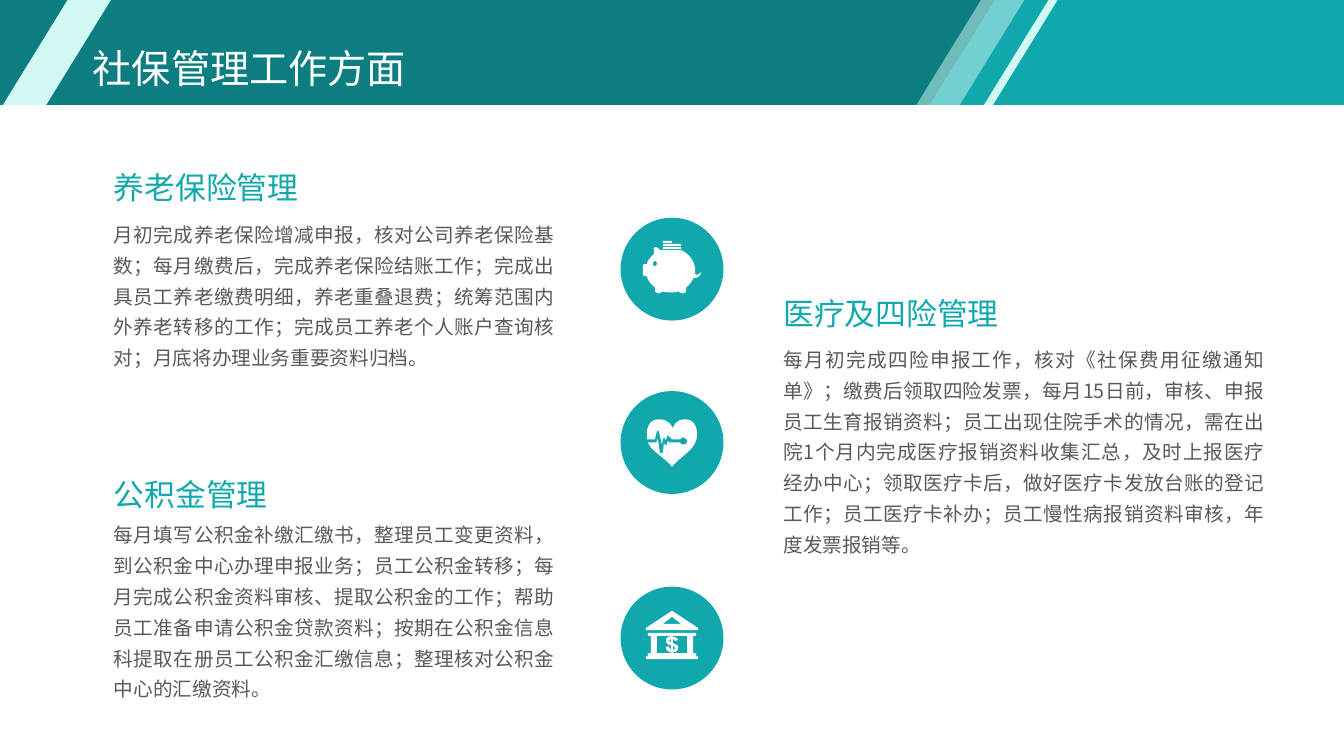
"""Build the social-insurance management slide with python-pptx."""
from lxml import etree
from pptx import Presentation, util as u
from pptx.dml.color import RGBColor
from pptx.enum import shapes, text
from pptx.oxml.ns import qn

FONT = "Noto Sans CJK SC"
COLORS = {"dark": "0C7E81", "teal": "10A8AC", "mint": "D2F8F4", "body": "595959", "white": "FFFFFF"}
WIDTH, HEIGHT, BAND, CIRCLE = 13.33, 7.5, 1.04, 1.02
ICON_LEFT = (WIDTH - CIRCLE) / 2

TITLE = "社保管理工作方面"
SECTIONS = [
    ("养老保险管理", (1.13, 1.67, 2.06), (2.14, 4.37, 1.54),
     "月初完成养老保险增减申报，核对公司养老保险基数；每月缴费后，完成养老保险结账工作；完成出具员工养老缴费明细，"
     "养老重叠退费；统筹范围内外养老转移的工作；完成员工养老个人账户查询核对；月底将办理业务重要资料归档。"),
    ("医疗及四险管理", (7.77, 2.92, 2.47), (3.38, 4.77, 2.16),
     "每月初完成四险申报工作，核对《社保费用征缴通知单》；缴费后领取四险发票，每月15日前，审核、申报员工生育报销资料；"
     "员工出现住院手术的情况，需在出院1个月内完成医疗报销资料收集汇总，及时上报医疗经办中心；领取医疗卡后，"
     "做好医疗卡发放台账的登记工作；员工医疗卡补办；员工慢性病报销资料审核，年度发票报销等。"),
    ("公积金管理", (1.13, 4.72, 2.06), (5.12, 4.37, 1.85),
     "每月填写公积金补缴汇缴书，整理员工变更资料，到公积金中心办理申报业务；员工公积金转移；每月完成公积金资料审核、"
     "提取公积金的工作；帮助员工准备申请公积金贷款资料；按期在公积金信息科提取在册员工公积金汇缴信息；"
     "整理核对公积金中心的汇缴资料。"),
]

PIG = [(74, 56), (74, 55, 74, 53, 74, 52), (74, 43, 68, 36, 60, 32), (39, 32),
       (36, 28, 32, 29, 33, 31), (33, 33, 33, 35, 33, 36), (30, 39, 27, 42, 26, 46), (25, 46),
       (24, 46, 22, 46, 22, 48), (22, 56), (22, 57, 24, 58, 25, 58), (26, 58),
       (27, 62, 30, 66, 34, 69), (34, 72), (34, 74, 36, 75, 38, 75), (39, 75, 41, 74, 41, 73),
       (44, 74, 47, 74, 49, 74), (53, 74, 56, 74, 58, 73), (58, 74, 60, 75, 62, 75),
       (63, 75, 65, 74, 65, 72), (65, 69), (68, 67, 71, 63, 72, 60), (75, 60, 79, 59, 80, 54),
       (80, 54, 76, 58, 74, 56)]
EYE = [(34, 48), (33, 48, 32, 47, 32, 46), (32, 44, 33, 43, 34, 43),
       (35, 43, 36, 44, 36, 46), (36, 47, 35, 48, 34, 48)]
COINS = [[(x, y), (x + 9, y), (x + 9, y + 2), (x, y + 2)]
         for x, y in [(42, 23), (42, 26), (42, 29), (51, 26), (51, 29)]]
HEART = [(38, 28), (29, 28, 26, 36, 26, 43), (26, 45, 26, 47, 26, 48), (34, 48), (36, 40), (37, 39),
         (38, 40), (41, 53), (42, 48), (43, 46), (44, 47), (45, 49), (46, 45), (47, 44), (48, 45),
         (51, 48), (59, 48), (60, 47, 61, 46, 62, 46), (64, 46, 66, 48, 66, 50),
         (66, 52, 64, 53, 62, 53), (61, 53, 60, 53, 59, 51), (48, 51), (47, 49), (46, 53), (45, 54),
         (44, 53), (43, 52), (42, 61), (41, 62), (39, 61), (37, 47), (36, 50), (35, 51), (27, 51),
         (32, 61, 44, 66, 51, 75), (60, 64, 76, 58, 76, 43), (76, 36, 73, 28, 64, 28),
         (54, 28, 52, 37, 52, 37), (52, 37, 49, 28, 38, 28)]
ROOF = [[(51, 24), (25, 41), (25, 43), (77, 43), (77, 41)], [(60, 37), (42, 37), (51, 30)]]
HALL = [
    [(75, 66), (72, 66), (72, 49), (75, 49), (75, 46), (27, 46), (27, 49), (30, 49), (30, 66),
     (27, 66), (27, 69), (25, 69), (25, 72), (77, 72), (77, 69), (75, 69)],
    [(50, 55), (49, 55, 48, 54, 48, 54), (49, 53, 49, 52, 50, 52)],
    [(52, 59), (53, 59, 54, 60, 54, 61), (54, 62, 53, 62, 52, 63)],
    [(36, 49), (50, 49), (47, 50, 45, 51, 45, 53), (45, 56, 46, 57, 49, 58), (50, 58), (50, 62),
     (49, 62, 48, 61, 48, 59), (45, 60), (45, 63, 47, 65, 50, 65), (50, 66), (36, 66)],
    [(66, 66), (52, 66), (52, 65), (56, 65, 57, 63, 57, 60), (58, 59, 56, 58, 54, 57), (52, 56),
     (52, 52), (53, 53, 54, 53, 54, 54), (57, 53), (56, 51, 55, 50, 52, 50), (52, 49), (66, 49)],
]
ICONS = [(2.16, [[PIG, EYE, *COINS]]), (3.88, [[HEART]]), (5.82, [ROOF, HALL])]


def paint(sp, color):
    sp.shadow.inherit = False
    sp.fill.solid()
    sp.fill.fore_color.rgb = RGBColor.from_string(COLORS[color])
    sp.line.fill.background()
    return sp


def preset(s, kind, box, color):
    return paint(s.shapes.add_shape(kind, *map(u.Inches, box)), color)


def flatten(contour, steps=8):
    points = [contour[0]]
    for seg in contour[1:]:
        if len(seg) == 2:
            points.append(seg)
            continue
        ctrl = [points[-1], seg[:2], seg[2:4], seg[4:]]
        for t in (i / steps for i in range(1, steps + 1)):
            weights = ((1 - t) ** 3, 3 * t * (1 - t) ** 2, 3 * t * t * (1 - t), t ** 3)
            points.append(tuple(sum(w * c[k] for w, c in zip(weights, ctrl)) for k in (0, 1)))
    return points


def outline(parent, contours, color, left=0, top=0, unit=1):
    paths = [[(u.Inches(left + x * unit), u.Inches(top + y * unit)) for x, y in flatten(c)]
             for c in contours]
    builder = parent.build_freeform(*paths[0][0], scale=1.0)
    for i, path in enumerate(paths):
        if i:
            builder.move_to(*path[0])
        builder.add_line_segments(path[1:], close=True)
    return paint(builder.convert_to_shape(), color)


def write(sp, content, size, color, frame, para):
    tf = sp.text_frame
    tf.word_wrap = True
    for key, value in frame.items():
        setattr(tf, key, value)
    p = tf.paragraphs[0]
    for key, value in para.items():
        setattr(p, key, value)
    r = p.add_run()
    r.text = content
    r.font.size, r.font.name = u.Pt(size), FONT
    r.font.color.rgb = RGBColor.from_string(COLORS[color])
    etree.SubElement(r.font._element, qn("a:ea")).set("typeface", FONT)


def draw_band(s):
    preset(s, shapes.MSO_SHAPE.RECTANGLE, (0, 0, WIDTH, BAND), "dark")
    outline(s.shapes, [[(9.87, 0), (WIDTH, 0), (WIDTH, BAND), (9.22, BAND)]], "teal")
    for left in (0.03, 9.09):
        stripe = preset(s, shapes.MSO_SHAPE.PARALLELOGRAM, (left, 0, 1.07, BAND), "mint")
        stripe.adjustments[0] = 0.616
    color = stripe.fill._xPr.find(".//" + qn("a:srgbClr"))
    etree.SubElement(color, qn("a:alpha")).set("val", "51000")
    outline(s.shapes, [[(10.4, 0), (10.49, 0), (9.85, BAND), (9.76, BAND)]], "mint")


def draw_title(s):
    title = s.shapes.title
    s.shapes.element.append(title.element)
    for key, value in zip(("left", "top", "width", "height"), (0.82, 0.33, 9.08, 0.75)):
        setattr(title, key, u.Inches(value))
    write(title, TITLE, 28, "white",
          {"vertical_anchor": text.MSO_ANCHOR.MIDDLE, "auto_size": text.MSO_AUTO_SIZE.NONE},
          {"alignment": text.PP_ALIGN.LEFT, "line_spacing": 0.9})


def draw_sections(s):
    frame = dict.fromkeys(("margin_left", "margin_top", "margin_right", "margin_bottom"), 0)
    frame["auto_size"] = text.MSO_AUTO_SIZE.SHAPE_TO_FIT_TEXT
    justified = {"alignment": text.PP_ALIGN.JUSTIFY, "line_spacing": u.Pt(22)}
    for heading, (left, top, width), body_box, body in SECTIONS:
        for content, box, size, color, para in (
                (body, (left, *body_box), 14, "body", justified),
                (heading, (left, top, width, 0.37), 22, "teal", {})):
            write(s.shapes.add_textbox(*map(u.Inches, box)), content, size, color, frame, para)


def draw_icons(s):
    for top, parts in ICONS:
        preset(s, shapes.MSO_SHAPE.OVAL, (ICON_LEFT, top, CIRCLE, CIRCLE), "teal")
        parent = s.shapes.add_group_shape().shapes if len(parts) > 1 else s.shapes
        for contours in parts:
            outline(parent, contours, "white", ICON_LEFT, top, 0.01)


def main():
    prs = Presentation()
    prs.slide_width, prs.slide_height = u.Inches(WIDTH), u.Inches(HEIGHT)
    s = prs.slides.add_slide(prs.slide_layouts[5])
    draw_band(s)
    draw_title(s)
    draw_sections(s)
    draw_icons(s)
    prs.save("out.pptx")


if __name__ == "__main__":
    main()
